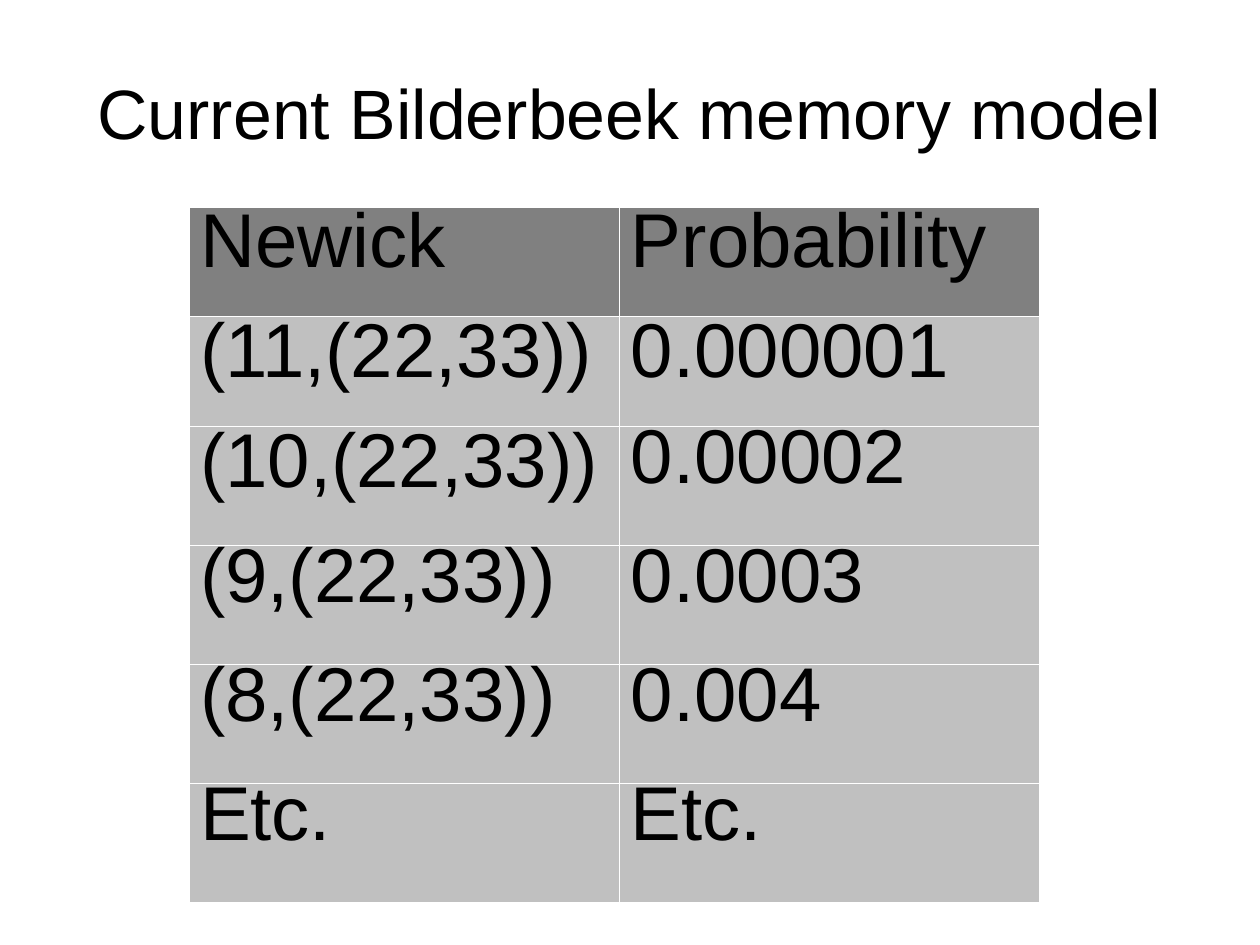
from lxml import etree
from pptx import Presentation
from pptx import util as u
from pptx.dml.color import RGBColor
from pptx.enum import text
from pptx.oxml import ns

COLORS = {"ink": "000000", "header": "808080", "body": "C0C0C0", "rule": "FFFFFF"}
FONT = "Arial"
CM_PER_INCH = 2.54

ROWS = [
    ("Newick", "Probability"),
    ("(11,(22,33))", "0.000001"),
    ("(10,(22,33))", "0.00002"),
    ("(9,(22,33))", "0.0003"),
    ("(8,(22,33))", "0.004"),
    ("Etc.", "Etc."),
]
COLUMN_WIDTHS = [3.77, 3.67]
ROW_HEIGHTS = [0.96] * 2 + [1.04] * 4
LOOSE_CELLS = 5  # the first cells, in reading order, have wider line spacing


def color(name):
    return RGBColor.from_string(COLORS[name])


def write(frame, words, size, spacing, align=text.PP_ALIGN.LEFT):
    para = frame.paragraphs[0]
    para.alignment = align
    para.line_spacing = spacing
    span = para.add_run()
    span.text = words
    span.font.name = FONT
    span.font.size = u.Pt(size)
    span.font.color.rgb = color("ink")


class Page:
    def __init__(self, deck):
        self.slide = deck.slides.add_slide(deck.slide_layouts[6])

    def title(self, words, left, top, width, height):
        box = self.slide.shapes.add_textbox(*map(u.Inches, (left, top, width, height)))
        frame = box.text_frame
        frame.word_wrap = True
        frame.vertical_anchor = text.MSO_ANCHOR.MIDDLE
        frame.margin_left = frame.margin_right = 0
        frame.margin_top = frame.margin_bottom = 0
        write(frame, words, size=44, spacing=0.93, align=text.PP_ALIGN.CENTER)

    def table(self, rows, left, top, widths, heights):
        table = self.slide.shapes.add_table(
            len(rows), len(widths), u.Inches(left), u.Inches(top),
            u.Inches(sum(widths)), u.Inches(sum(heights))).table
        for column, width in zip(table.columns, widths):
            column.width = u.Inches(width)
        for row, height in zip(table.rows, heights):
            row.height = u.Inches(height)
        for r, values in enumerate(rows):
            for c, value in enumerate(values):
                cell = table.cell(r, c)
                cell.fill.solid()
                cell.fill.fore_color.rgb = color("body" if r else "header")
                loose = r * len(widths) + c < LOOSE_CELLS
                write(cell.text_frame, value, size=48, spacing=0.81 if loose else 0.76)
                self.borders(cell)

    def borders(self, cell):
        properties = cell._tc.get_or_add_tcPr()
        for position, side in enumerate("LRTB"):
            line = etree.Element(ns.qn(f"a:ln{side}"), w=str(u.Pt(0.06)))
            fill = etree.SubElement(line, ns.qn("a:solidFill"))
            etree.SubElement(fill, ns.qn("a:srgbClr"), val=COLORS["rule"])
            properties.insert(position, line)


def main():
    # Slide of 28 by 21 cm
    deck = Presentation()
    deck.slide_width = u.Inches(28 / CM_PER_INCH)
    deck.slide_height = u.Inches(21 / CM_PER_INCH)
    page = Page(deck)

    # Heading
    page.title("Current Bilderbeek memory model", 0.55, 0.38, 9.92, 1.28)

    # Newick strings with their probabilities
    page.table(ROWS, 1.65, 1.81, COLUMN_WIDTHS, ROW_HEIGHTS)

    deck.save("out.pptx")


if __name__ == "__main__":
    main()
